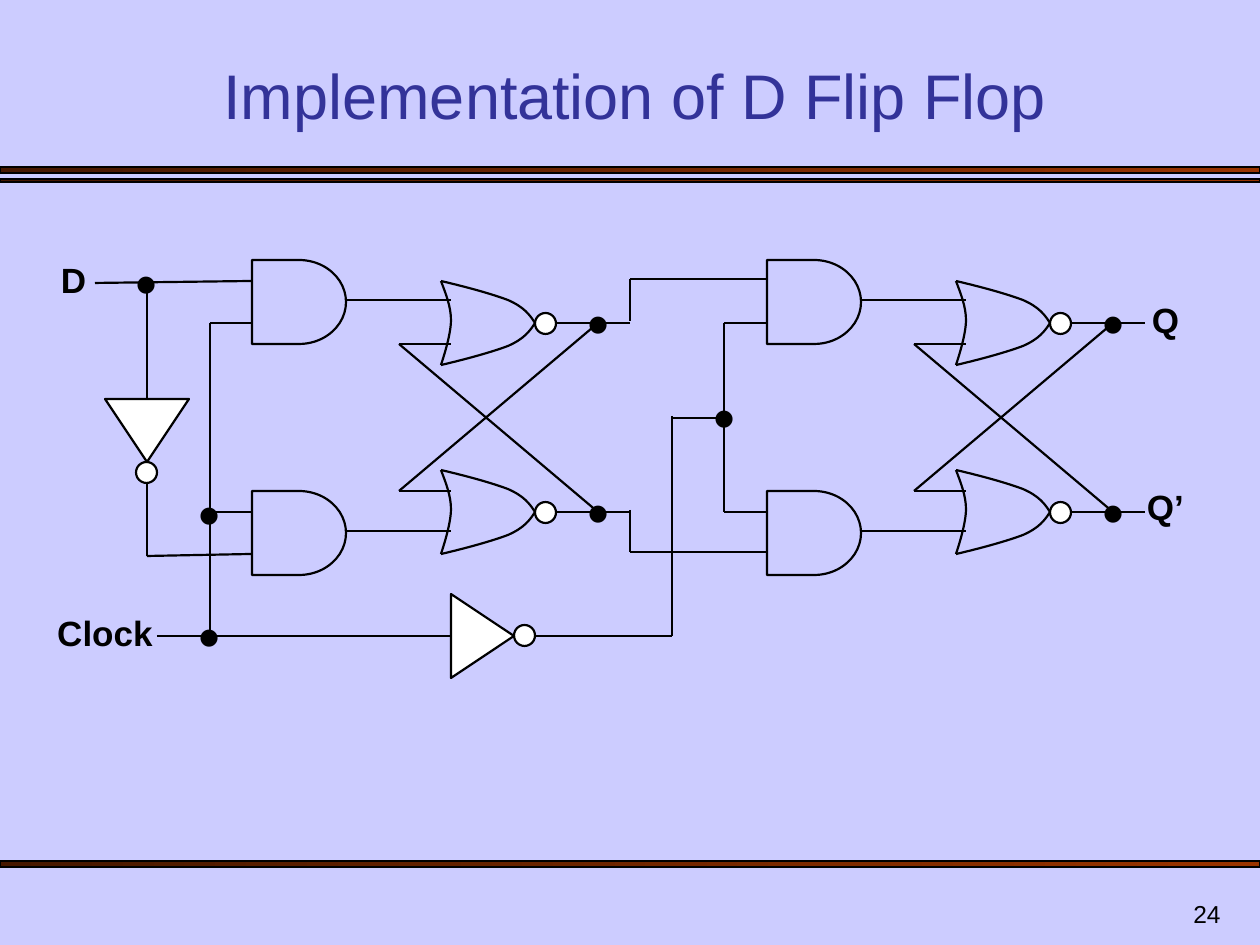
from lxml import etree
from pptx import Presentation
from pptx.dml.color import RGBColor
from pptx.enum.shapes import MSO_CONNECTOR, MSO_SHAPE
from pptx.enum.text import MSO_ANCHOR, PP_ALIGN
from pptx.oxml.ns import qn
from pptx.util import Pt

STRAIGHT = MSO_CONNECTOR.STRAIGHT
RECTANGLE, OVAL, DELAY = MSO_SHAPE.RECTANGLE, MSO_SHAPE.OVAL, MSO_SHAPE.FLOWCHART_DELAY
CENTER, RIGHT = PP_ALIGN.CENTER, PP_ALIGN.RIGHT
TOP, BOTTOM = MSO_ANCHOR.TOP, MSO_ANCHOR.BOTTOM
SCALE = 914400 / 126
COLORS = {"background": "CCCCFF", "title": "333399", "ink": "000000",
          "bubble": "FFFFFF", "bar_dark": "461700", "bar_light": "993300"}
BUBBLE_SIZE, GATE_WIDTH, GATE_HEIGHT = 21, 94, 84
ROW_STEP, STAGE_STEP = 189, 515

NOR_BACK = [(0, 0), (5, 13), (10, 26), (10, 39), (10, 53), (3, 75), (0, 84)]
NOR_TOP = [(0, 0), (26, 6), (51, 13), (67, 19), (83, 26), (89, 34), (94, 42)]
NOR_BOTTOM = [(x, GATE_HEIGHT - y) for x, y in NOR_TOP]

LATCH_WIRES = [
    (556, 323, 630, 323), (556, 512, 630, 512),
    (399, 344, 451, 344), (346, 300, 451, 300),
    (399, 491, 451, 491), (346, 531, 451, 531),
    (399, 491, 598, 323), (399, 344, 598, 512),
]
INPUT_WIRES = [
    (95, 283, 252, 281), (210, 323, 252, 323),
    (210, 512, 252, 512), (147, 556, 252, 554),
    (210, 323, 210, 636), (157, 636, 451, 636),
    (147, 483, 147, 556), (147, 283, 147, 399),
]
LINK_WIRES = [
    (630, 279, 766, 279), (724, 323, 766, 323),
    (724, 512, 766, 512), (630, 552, 766, 552),
    (724, 323, 724, 512), (672, 418, 724, 418),
    (535, 636, 672, 636), (672, 416, 672, 636),
    (630, 510, 630, 552), (630, 279, 630, 321),
]
INPUT_DOTS = [(115, 237), (178, 468), (178, 590), (693, 371)]
LABELS = [("D", 42, 252, 63), ("Clock", 42, 605, 126),
          ("Q", 1134, 292, 63), ("Q’", 1134, 479, 63)]


def emu(pixels):
    """Turn px into EMU."""
    return round(pixels * SCALE)


def color(name):
    """Look up a named colour."""
    return RGBColor.from_string(COLORS[name])


def style_shape(shape, fill=None, line_width=1.25):
    """Set the fill and outline of a shape without a shadow."""
    shape.shadow.inherit = False
    if fill:
        shape.fill.solid()
        shape.fill.fore_color.rgb = color(fill)
    else:
        shape.fill.background()
    shape.line.color.rgb = color("ink")
    shape.line.width = Pt(line_width)


def add_preset(slide, kind, left, top, width, height, fill=None):
    """Add an outlined preset shape."""
    shape = slide.shapes.add_shape(kind, *map(emu, (left, top, width, height)))
    style_shape(shape, fill)


def add_bar(slide, top, height):
    """Add a full-width gradient bar."""
    shape = slide.shapes.add_shape(RECTANGLE, 0, emu(top), emu(1260), emu(height))
    style_shape(shape, line_width=0.75)
    shape.fill.gradient()
    shape.fill.gradient_angle = 180
    for stop, name in zip(shape.fill.gradient_stops, ("bar_light", "bar_dark")):
        stop.color.rgb = color(name)


def add_wire(slide, start_x, start_y, end_x, end_y):
    """Add a straight wire."""
    wire = slide.shapes.add_connector(
        STRAIGHT, *map(emu, (start_x, start_y, end_x, end_y)))
    wire.line.color.rgb = color("ink")
    wire.line.width = Pt(1.25)
    properties = wire.element.find(qn("p:spPr"))
    etree.SubElement(properties, qn("a:effectLst"))


def add_outline(slide, points, fill=None, close=False):
    """Add a freeform through the given points."""
    scaled = [(emu(x), emu(y)) for x, y in points]
    builder = slide.shapes.build_freeform(*scaled[0], scale=1.0)
    builder.add_line_segments(scaled[1:], close=close)
    shape = builder.convert_to_shape()
    style_shape(shape, fill)
    return shape


def add_curve(slide, controls):
    """Add an open chain of cubic curves."""
    shape = add_outline(slide, controls)
    outline = next(shape.element.iter(qn("a:path")))
    segments = outline.findall(qn("a:lnTo"))
    for first in range(0, len(segments), 3):
        curve = etree.SubElement(outline, qn("a:cubicBezTo"))
        for segment in segments[first:first + 3]:
            curve.append(segment[0])
            outline.remove(segment)


def add_bubble(slide, left, top):
    """Add an inversion bubble."""
    add_preset(slide, OVAL, left, top, BUBBLE_SIZE, BUBBLE_SIZE, "bubble")


def add_nor(slide, left, top):
    """Add a NOR gate."""
    add_bubble(slide, left + GATE_WIDTH, top + 32)
    for controls in (NOR_BACK, NOR_TOP, NOR_BOTTOM):
        add_curve(slide, [(left + x, top + y) for x, y in controls])


def add_inverter(slide, triangle, bubble):
    """Add an inverter from its triangle and bubble position."""
    add_bubble(slide, *bubble)
    add_outline(slide, triangle, "bubble", close=True)


def add_text(slide, text, box, size, ink="ink", bold=False, align=CENTER,
             anchor=TOP, space_before=0):
    """Add a one-line text box."""
    frame = slide.shapes.add_textbox(*map(emu, box)).text_frame
    frame.word_wrap = True
    frame.vertical_anchor = anchor
    paragraph = frame.paragraphs[0]
    paragraph.alignment = align
    paragraph.space_before = Pt(space_before)
    run = paragraph.add_run()
    run.text = text
    run.font.name = "Arial"
    run.font.size = Pt(size)
    run.font.bold = bold
    run.font.color.rgb = color(ink)


def add_dot(slide, left, top):
    """Add a junction dot."""
    add_text(slide, "•", (left, top, 63, 88), 36, space_before=22.5)


def add_latch(slide, offset):
    """Add one stage of AND gates and cross-coupled NOR gates."""
    for drop in (0, ROW_STEP):
        add_nor(slide, 441 + offset, 281 + drop)
    for start_x, start_y, end_x, end_y in LATCH_WIRES:
        add_wire(slide, start_x + offset, start_y, end_x + offset, end_y)
    for drop in (0, ROW_STEP):
        add_dot(slide, 567 + offset, 277 + drop)
    for top in (260, 491):
        add_preset(slide, DELAY, 252 + offset, top, GATE_WIDTH, GATE_HEIGHT)


def main():
    """Build the flip-flop slide."""
    presentation = Presentation()
    presentation.slide_width, presentation.slide_height = emu(1260), emu(945)
    slide = presentation.slides.add_slide(presentation.slide_layouts[6])
    slide.background.fill.solid()
    slide.background.fill.fore_color.rgb = color("background")
    for top, height in ((167, 6), (179, 3), (861, 6)):
        add_bar(slide, top, height)
    add_text(slide, "Implementation of D Flip Flop", (73, 52, 1124, 86), 36,
             ink="title", anchor=BOTTOM)
    for offset in (STAGE_STEP, 0):
        add_latch(slide, offset)
    for wire in LINK_WIRES + INPUT_WIRES:
        add_wire(slide, *wire)
    add_inverter(slide, [(451, 594), (451, 678), (514, 636)], (514, 625))
    add_inverter(slide, [(189, 399), (105, 399), (147, 462)], (136, 462))
    for dot in INPUT_DOTS:
        add_dot(slide, *dot)
    for text, left, top, width in LABELS:
        add_text(slide, text, (left, top, width, 55), 20, bold=True, space_before=12.5)
    add_text(slide, "24", (971, 882, 262, 53), 14, align=RIGHT, anchor=BOTTOM)
    presentation.save("out.pptx")


if __name__ == "__main__":
    main()
